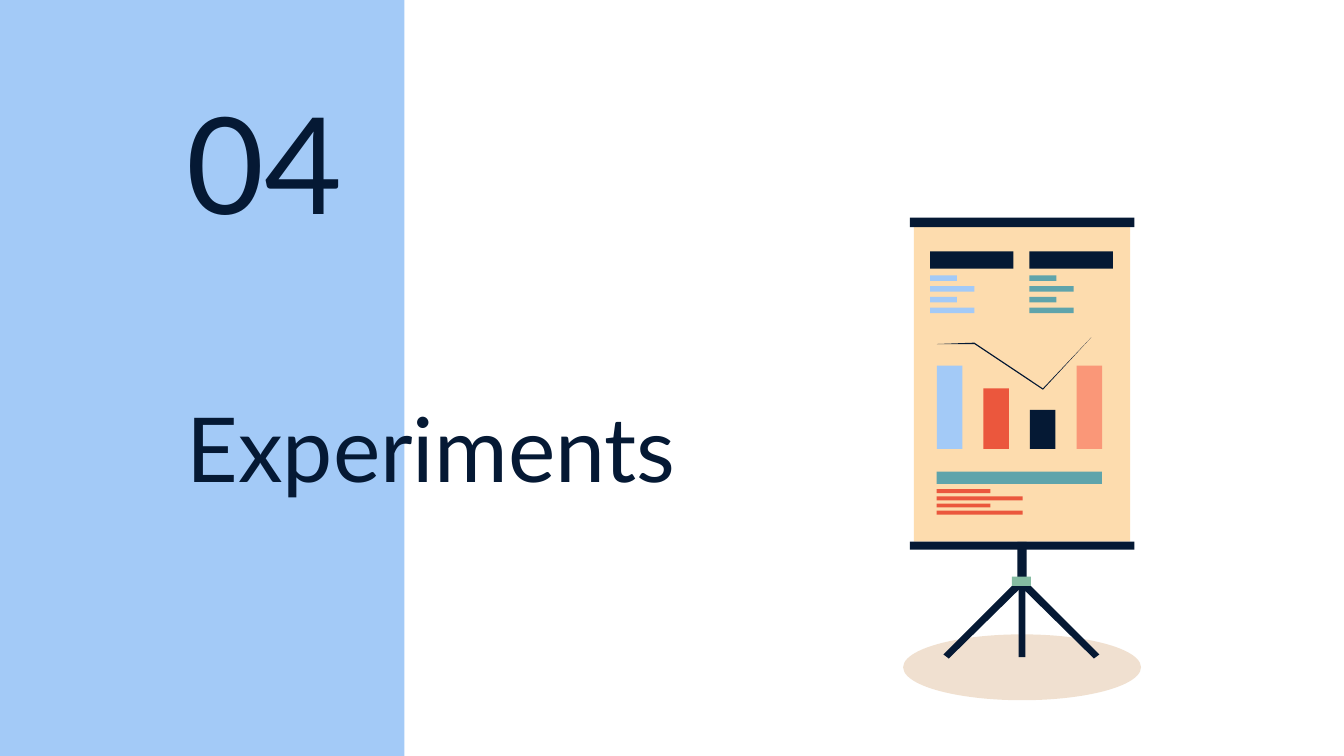
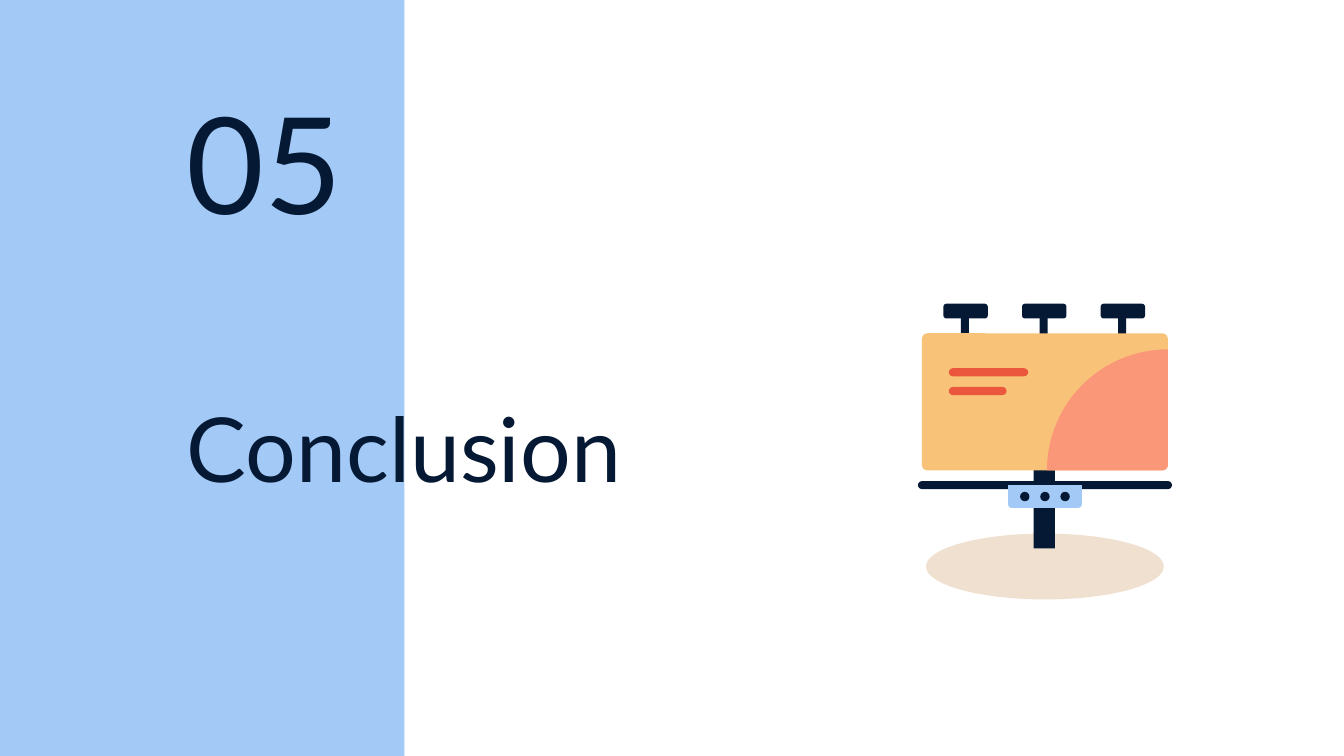
from dataclasses import dataclass
from math import cos, pi, sin

from lxml.etree import SubElement
from pptx import Presentation
from pptx.dml.color import RGBColor
from pptx.dml.fill import FillFormat
from pptx.enum.shapes import MSO_SHAPE
from pptx.enum.text import MSO_ANCHOR
from pptx.oxml.ns import qn
from pptx.shapes.autoshape import Shape
from pptx.shapes.shapetree import GroupShapes, SlideShapes
from pptx.util import Inches, Pt

NAVY, SKY, TEAL, RED, CORAL = "051934", "A3CAF7", "5FA4AB", "EB573D", "FA9778"
CREAM, GOLD, GREEN, BROWN = "FDDCAE", "F8C379", "85BCA2", "B45F06"
RECT, OVAL, ROUND = MSO_SHAPE.RECTANGLE, MSO_SHAPE.OVAL, MSO_SHAPE.ROUNDED_RECTANGLE
PLATE = MSO_SHAPE.ROUND_2_SAME_RECTANGLE

Point = tuple[float, float]


@dataclass(frozen=True)
class Part:
    """A filled preset shape, in inches."""

    x: float
    y: float
    w: float
    h: float
    fill: str
    kind: MSO_SHAPE = RECT
    bends: tuple[float, ...] = ()


@dataclass(frozen=True)
class Label:
    """A line of heading text, in inches and points."""

    y: float
    w: float
    h: float
    size: int
    anchor: MSO_ANCHOR
    spacing: float


NUMBER = Label(1.03, 2.75, 0.87, 72, MSO_ANCHOR.BOTTOM, 1.0)
TITLE = Label(2.8, 4.24, 0.93, 48, MSO_ANCHOR.MIDDLE, 1.15)


def paint(fill: FillFormat, tone: str) -> None:
    """Give a fill one solid colour."""
    fill.solid()
    fill.fore_color.rgb = RGBColor.from_string(tone)


def finish(shape: Shape, tone: str) -> None:
    """Fill a shape and take off its line and shadow."""
    paint(shape.fill, tone)
    shape.line.fill.background()
    shape.shadow.inherit = False


def draw(shapes: SlideShapes | GroupShapes, part: Part) -> Shape:
    """Draw one part."""
    shape = shapes.add_shape(
        part.kind, Inches(part.x), Inches(part.y), Inches(part.w), Inches(part.h)
    )
    for index, bend in enumerate(part.bends):
        shape.adjustments[index] = bend
    finish(shape, part.fill)
    return shape


def trace(shapes: GroupShapes, points: list[Point], tone: str) -> None:
    """Draw a closed outline through the points."""
    spots = [(Inches(x), Inches(y)) for x, y in points]
    pen = shapes.build_freeform(*spots[0])
    pen.add_line_segments(spots[1:], close=True)
    finish(pen.convert_to_shape(), tone)


def arc(x: float, y: float, radius: float, start: float, end: float) -> list[Point]:
    """Return points along an arc between two angles."""
    steps = 40
    turns = [start + (end - start) * i / steps for i in range(steps + 1)]
    return [(x + radius * cos(t), y + radius * sin(t)) for t in turns]


def write(shapes: SlideShapes, label: Label, text: str) -> None:
    """Write one heading."""
    box = shapes.add_textbox(
        Inches(1.29), Inches(label.y), Inches(label.w), Inches(label.h)
    )
    frame = box.text_frame
    frame.word_wrap = True
    frame.vertical_anchor = label.anchor
    frame.margin_left = frame.margin_right = Inches(0.1)
    frame.margin_top = frame.margin_bottom = Inches(0.1)
    line = frame.paragraphs[0]
    line.text = text
    line.line_spacing = label.spacing
    line.font.name = "Lato"
    line.font.size = Pt(label.size)
    paint(line.font.fill, NAVY)


def shade(shapes: SlideShapes, x: float, y: float) -> None:
    """Draw the pale floor shadow."""
    shape = draw(shapes, Part(x, y, 1.77, 0.49, BROWN, OVAL))
    tone = shape.fill._xPr.find(qn("a:solidFill"))[0]
    SubElement(tone, qn("a:alpha"), val="19000")


def stack(x: float, y: float, span: float, high: float,
          widths: tuple[float, float], tone: str) -> list[Part]:
    """Return four text bars of two widths in turn, spread over a span."""
    return [Part(x, y + span * i / 3, widths[i % 2], high, tone) for i in range(4)]


def easel(shapes: GroupShapes) -> None:
    """Draw the chart board on its tripod."""
    mid = 7.6
    for side in (-1, 1):
        leg = [(0.02, 4.31), (0.58, 4.87), (0.54, 4.9), (-0.02, 4.35)]
        trace(shapes, [(mid + side * x, y) for x, y in leg], NAVY)
    parts = [
        Part(7.58, 4.25, 0.05, 0.64, NAVY),
        Part(7.57, 4.03, 0.07, 0.34, NAVY),
        Part(7.53, 4.29, 0.14, 0.07, GREEN),
        Part(6.8, 1.69, 1.61, 2.34, CREAM),
        Part(6.77, 4.03, 1.67, 0.06, NAVY),
        Part(6.77, 1.62, 1.67, 0.07, NAVY),
    ]
    for x, tone in ((6.92, SKY), (7.66, TEAL)):
        parts.append(Part(x, 1.87, 0.62, 0.13, NAVY))
        parts += stack(x, 2.05, 0.24, 0.04, (0.2, 0.33), tone)
    parts.append(Part(6.97, 3.51, 1.23, 0.09, TEAL))
    parts += stack(6.97, 3.64, 0.16, 0.03, (0.4, 0.64), RED)
    bars = ((0.62, SKY), (0.45, RED), (0.29, NAVY), (0.62, CORAL))
    for i, (high, tone) in enumerate(bars):
        parts.append(Part(6.97 + 1.04 * i / 3, 3.34 - high, 0.19, high, tone))
    for part in parts:
        draw(shapes, part)
    trend = [(8.12, 2.51), (7.76, 2.89), (7.25, 2.55),
             (6.97, 2.56), (7.25, 2.56), (7.76, 2.9)]
    trace(shapes, trend, NAVY)


def billboard(shapes: GroupShapes) -> None:
    """Draw the lit billboard on its post."""
    parts = [
        Part(7.69, 3.4, 0.16, 0.68, NAVY),
        Part(6.83, 3.58, 1.89, 0.06, NAVY, ROUND, (0.5,)),
        Part(7.5, 3.61, 0.55, 0.17, SKY, PLATE, (0, 0.17)),
    ]
    for i in range(3):
        lamp = 7.02 + 1.17 * i / 2
        parts += [
            Part(7.59 + 0.15 * i, 3.66, 0.07, 0.07, NAVY, OVAL),
            Part(lamp + 0.13, 2.28, 0.06, 0.25, NAVY, ROUND, (0.5,)),
            Part(lamp, 2.26, 0.33, 0.11, NAVY, ROUND, (0.2,)),
        ]
    parts.append(Part(6.86, 2.48, 1.83, 1.02, GOLD, ROUND, (0.04,)))
    for part in parts:
        draw(shapes, part)
    curve = arc(8.69, 3.5, 0.9, 1.5 * pi, pi)
    trace(shapes, curve + arc(8.65, 3.46, 0.04, pi / 2, 0), CORAL)
    for y, wide in ((2.74, 0.59), (2.88, 0.43)):
        draw(shapes, Part(7.06, y, wide, 0.06, RED, ROUND, (0.5,)))


def main() -> None:
    """Build both section slides."""
    deck = Presentation()
    deck.slide_width = Inches(10)
    deck.slide_height = deck.slide_width * 9 // 16
    pages = (
        ("04", "Experiments", 6.72, 4.72, easel),
        ("05", "Conclusion", 6.89, 3.97, billboard),
    )
    for number, title, x, y, art in pages:
        shapes = deck.slides.add_slide(deck.slide_layouts[6]).shapes
        draw(shapes, Part(-0.02, -0.02, 3.03, 5.65, SKY))
        shade(shapes, x, y)
        write(shapes, TITLE, title)
        write(shapes, NUMBER, number)
        art(shapes.add_group_shape().shapes)
    deck.save("out.pptx")


if __name__ == "__main__":
    main()
